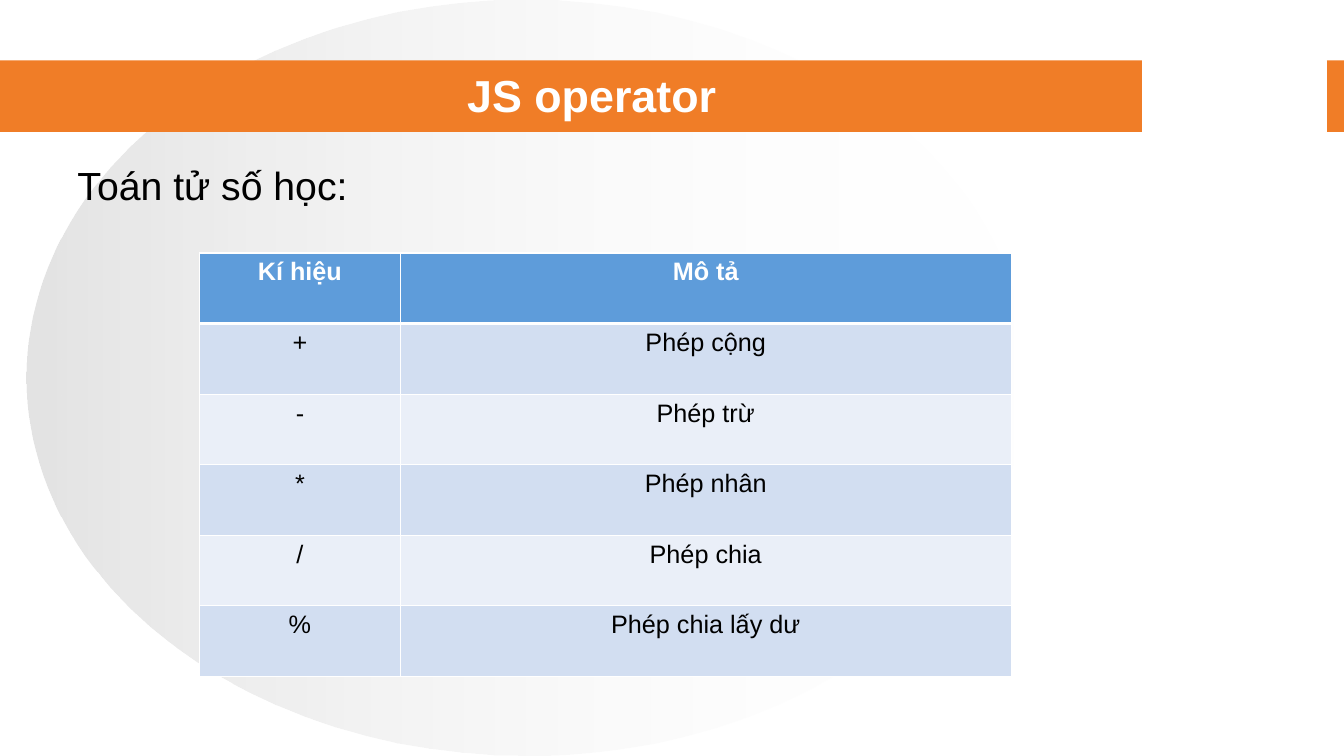
from lxml.etree import SubElement
from pptx import Presentation
from pptx.dml.color import RGBColor
from pptx.enum.shapes import MSO_SHAPE
from pptx.enum.text import MSO_ANCHOR, PP_ALIGN
from pptx.oxml.ns import qn
from pptx.util import Inches, Pt

WHITE, BLACK, ORANGE = "FFFFFF", "000000", "F07D27"
HEADER_BLUE, BANDS = "5E9CDA", ("D2DEF1", "EAEFF8")
OPERATORS = [
    ("Kí hiệu", "Mô tả"),
    ("+", "Phép cộng"),
    ("-", "Phép trừ"),
    ("*", "Phép nhân"),
    ("/", "Phép chia"),
    ("%", "Phép chia lấy dư"),
]


def color(value):
    """Turn a hex string into a colour."""
    return RGBColor.from_string(value)


def write(frame, text, size=18, fill=BLACK, bold=False, align=PP_ALIGN.LEFT):
    """Write one formatted paragraph into a text frame."""
    paragraph = frame.paragraphs[0]
    paragraph.alignment = align
    run = paragraph.add_run()
    run.text = text
    run.font.name = "Arial"
    run.font.size = Pt(size)
    run.font.bold = bold
    run.font.color.rgb = color(fill)


def add_label(slide, box, text, wrap=True, **style):
    """Add a vertically centred text box."""
    frame = slide.shapes.add_textbox(*map(Inches, box)).text_frame
    frame.word_wrap = wrap
    frame.vertical_anchor = MSO_ANCHOR.MIDDLE
    write(frame, text, **style)


def add_plain(slide, kind, box, fill=None):
    """Add a preset shape without shadow or outline."""
    shape = slide.shapes.add_shape(kind, *map(Inches, box))
    shape.shadow.inherit = False
    shape.line.fill.background()
    if fill:
        shape.fill.solid()
        shape.fill.fore_color.rgb = color(fill)
    return shape


def add_backdrop(slide, box):
    """Draw the grey ellipse that fades out to the right."""
    ellipse = add_plain(slide, MSO_SHAPE.OVAL, box)
    ellipse.fill.gradient()
    ellipse.fill.gradient_angle = 0
    fades = (("C0C0C0", 0, 44), (WHITE, 1, 0))
    for stop, (shade, position, _) in zip(ellipse.fill.gradient_stops, fades):
        stop.color.rgb = color(shade)
        stop.position = position
    shades = ellipse.fill._xPr.iter(qn("a:srgbClr"))
    for shade, (_, _, opacity) in zip(shades, fades):
        SubElement(shade, qn("a:alpha"), val=str(opacity * 1000))


def add_banner(slide, box, title):
    """Draw the orange title band with its white gap."""
    left, top, width, height = box
    add_plain(slide, MSO_SHAPE.RECTANGLE, box, ORANGE)
    gap_box = (left + width - 2, top, 1.83, height)
    gap = add_plain(slide, MSO_SHAPE.RECTANGLE, gap_box, WHITE)
    gap.line.color.rgb = color(WHITE)
    gap.line.width = Pt(0.75)
    add_label(slide, (left + 0.67, top + 0.07, 10.4, 0.53), title,
              size=32, fill=WHITE, bold=True, align=PP_ALIGN.CENTER)


def add_borders(cell, top, bottom):
    """Give a cell white borders, with top and bottom widths in points."""
    properties = cell._tc.get_or_add_tcPr()
    for side, width in (("L", 1), ("R", 1), ("T", top), ("B", bottom)):
        line = SubElement(properties, qn(f"a:ln{side}"), w=str(Pt(width)))
        SubElement(SubElement(line, qn("a:solidFill")), qn("a:srgbClr"), val=WHITE)


def add_operator_table(slide, box, rows, symbol_width):
    """Draw the banded table of operators."""
    frame = slide.shapes.add_table(len(rows), len(rows[0]), *map(Inches, box))
    table = frame.table
    table.columns[0].width = Inches(symbol_width)
    table.columns[1].width = Inches(box[2] - symbol_width)
    for r, row in enumerate(rows):
        header = r == 0
        for c, text in enumerate(row):
            cell = table.cell(r, c)
            add_borders(cell, top=3 if r == 1 else 1, bottom=3 if header else 1)
            cell.fill.solid()
            cell.fill.fore_color.rgb = color(HEADER_BLUE if header else BANDS[(r - 1) % 2])
            write(cell.text_frame, text, fill=WHITE if header else BLACK,
                  bold=header, align=PP_ALIGN.CENTER)


def main():
    """Build and save the slide."""
    deck = Presentation()
    deck.slide_width, deck.slide_height = Inches(13.33), Inches(7.5)
    slide = deck.slides.add_slide(deck.slide_layouts[6])
    add_backdrop(slide, (0.26, 0, 9.92, 7.5))
    add_banner(slide, (0, 0.6, 13.33, 0.71), "JS operator")
    add_operator_table(slide, (1.98, 2.51, 8.05, 4.2), OPERATORS, symbol_width=1.99)
    add_label(slide, (0.67, 1.55, 2.91, 0.57), "Toán tử số học:", wrap=False, size=28)
    deck.save("out.pptx")


if __name__ == "__main__":
    main()
